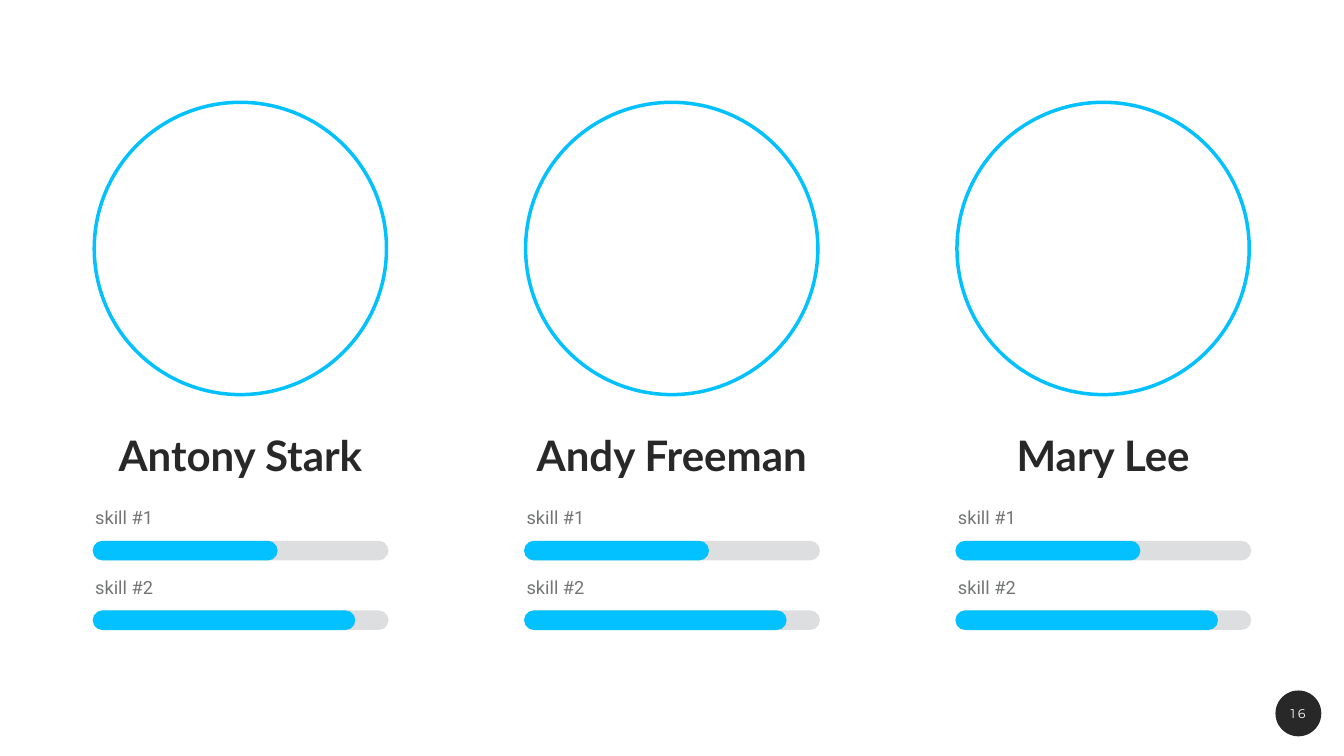
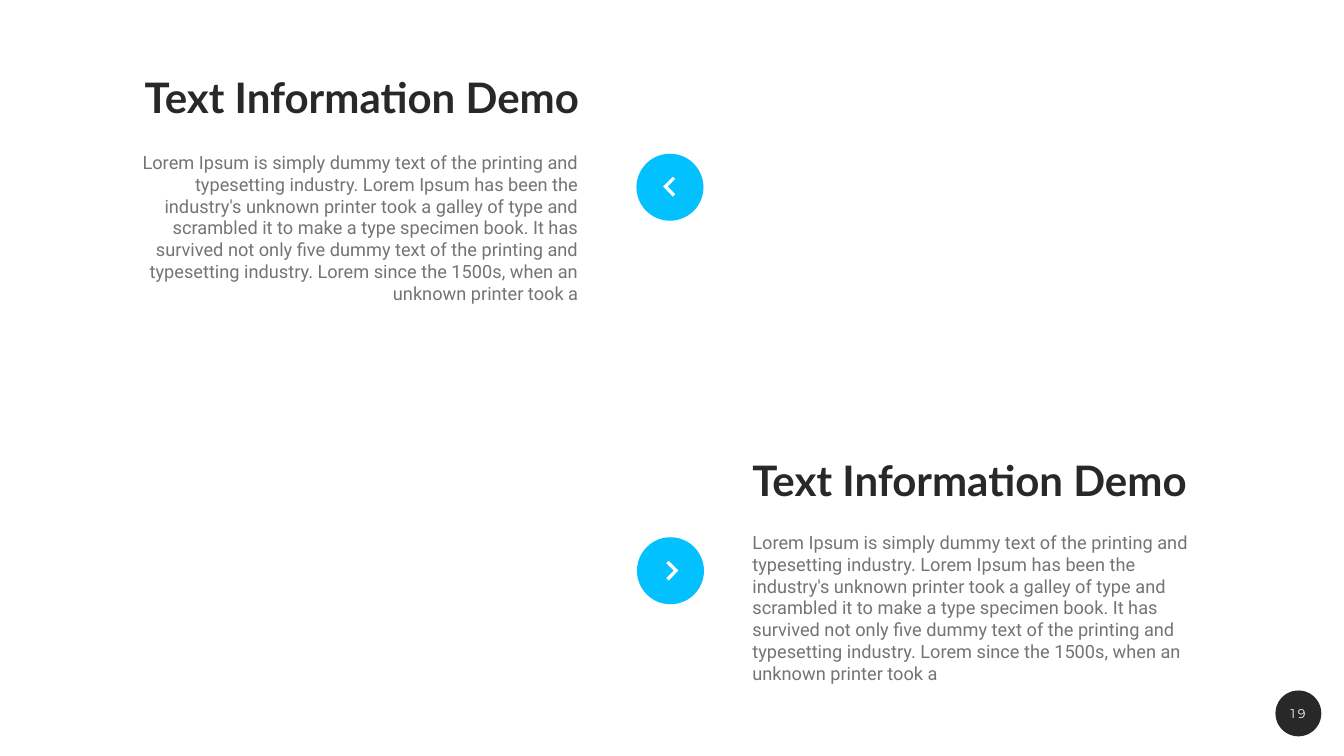
from pptx import Presentation
from pptx.dml.color import RGBColor
from pptx.enum import shapes, text
from pptx.util import Inches, Pt

COLORS = {"accent": "03C0FE", "dark": "282828", "grey": "727574",
          "track": "DDDEE0", "white": "FFFFFF"}
STYLES = {"heading": ("Lato", 60, True, "dark", 0.9),
          "body": ("Roboto", 26, False, "grey", 1.0),
          "number": ("Montserrat", 18, False, "white", 1.0)}
LEFT, CENTER, RIGHT = text.PP_ALIGN.LEFT, text.PP_ALIGN.CENTER, text.PP_ALIGN.RIGHT
TITLE_ONLY, BLANK = 5, 6

MEMBERS = ["Antony Stark", "Andy Freeman", "Mary Lee"]
SKILLS = [("skill #1", 3.67), ("skill #2", 5.21)]
HEADING = "Text Information Demo"
LOREM = ("Lorem Ipsum is simply dummy text of the printing and typesetting industry. "
         "Lorem Ipsum has been the industry's unknown printer took a galley of type and "
         "scrambled it to make a type specimen book. It has survived not only five dummy "
         "text of the printing and typesetting industry. Lorem since the 1500s, when an "
         "unknown printer took a")
CHEVRON_WIDTH = 0.24
CHEVRON = [(0.05, 0), (0, 0.04), (0.15, 0.19), (0, 0.34), (0.05, 0.39), (0.24, 0.19)]


def rgb(name):
    """Return the palette colour of that name."""
    return RGBColor.from_string(COLORS[name])


def inches(*lengths):
    """Convert several lengths to Inches."""
    return [Inches(length) for length in lengths]


def paint(shape, fill=None, line=None, weight=5):
    """Give a shape a flat fill or an outline, without shadow."""
    shape.shadow.inherit = False
    if fill:
        shape.fill.solid()
        shape.fill.fore_color.rgb = rgb(fill)
    else:
        shape.fill.background()
    if line:
        shape.line.color.rgb = rgb(line)
        shape.line.width = Pt(weight)
    else:
        shape.line.fill.background()


def add_circle(parent, left, top, size, **look):
    """Draw a circle."""
    circle = parent.add_shape(shapes.MSO_SHAPE.OVAL, *inches(left, top, size, size))
    paint(circle, **look)


def add_pill(parent, left, top, width, height, fill):
    """Draw a bar with fully rounded ends."""
    pill = parent.add_shape(shapes.MSO_SHAPE.ROUNDED_RECTANGLE,
                            *inches(left, top, width, height))
    pill.adjustments[0] = 0.5
    paint(pill, fill)


def write(holder, words, style, align=LEFT, anchor=text.MSO_ANCHOR.TOP):
    """Fill a text holder with one styled paragraph and return it."""
    frame = holder.text_frame
    frame.word_wrap = True
    frame.auto_size = text.MSO_AUTO_SIZE.NONE
    frame.vertical_anchor = anchor
    frame.margin_left = frame.margin_right = Inches(0.04)
    frame.margin_top = frame.margin_bottom = Inches(0.04)
    paragraph = frame.paragraphs[0]
    paragraph.text = words
    paragraph.alignment = align
    font, size, bold, color, spacing = STYLES[style]
    paragraph.line_spacing = spacing
    paragraph.font.name = font
    paragraph.font.size = Pt(size)
    paragraph.font.bold = bold
    paragraph.font.color.rgb = rgb(color)
    return paragraph


def add_text(parent, box, words, style, **layout):
    """Add a text box and write in it."""
    return write(parent.add_textbox(*inches(*box)), words, style, **layout)


def add_page_badge(slide, number):
    """Draw the page number on its dark disc."""
    add_circle(slide.shapes, 25.31, 13.7, 0.91, fill="dark")
    digits = add_text(slide.shapes, (25.43, 13.96, 0.66, 0.39), str(number),
                      "number", align=CENTER)
    digits.runs[0].font._element.set("spc", "360")


def add_skill(slide, left, top, label, level):
    """Draw a labelled skill bar filled up to its level."""
    skill = slide.shapes.add_group_shape().shapes
    add_pill(skill, left, top + 0.72, 5.87, 0.39, "track")
    add_text(skill, (left + 0.01, top, 1.57, 0.57), label, "body")
    add_pill(skill, left, top + 0.72, level, 0.39, "accent")


def add_member(slide, left, top, name):
    """Draw one team member: portrait ring, name and skills."""
    add_text(slide.shapes, (left, top + 6.5, 6.4, 1.11), name, "heading",
             align=CENTER, anchor=text.MSO_ANCHOR.MIDDLE)
    add_circle(slide.shapes, left + 0.3, top, 5.8, line="accent")
    for row, (label, level) in enumerate(SKILLS):
        add_skill(slide, left + 0.27, top + 7.98 + 1.38 * row, label, level)


def add_arrow(slide, left, top, chevron_left, chevron_top, mirrored=False):
    """Draw a disc with a chevron, pointing left if mirrored."""
    arrow = slide.shapes.add_group_shape().shapes
    add_circle(arrow, left, top, 1.33, fill="accent")
    points = [inches(left + chevron_left + (CHEVRON_WIDTH - x if mirrored else x),
                     top + chevron_top + y) for x, y in CHEVRON]
    outline = arrow.build_freeform(*points[0])
    outline.add_line_segments(points[1:], close=True)
    paint(outline.convert_to_shape(), "white")


def team_slide(deck, number):
    """Build the slide with three team members."""
    slide = deck.slides.add_slide(deck.slide_layouts[BLANK])
    for column, name in enumerate(MEMBERS):
        add_member(slide, 1.57 + 8.56 * column, 2.03, name)
    add_page_badge(slide, number)


def text_slide(deck, number):
    """Build the slide with two facing text blocks."""
    slide = deck.slides.add_slide(deck.slide_layouts[TITLE_ONLY])
    title = slide.shapes.title
    title.left, title.top, title.width, title.height = inches(2.54, 1.49, 8.99, 1.74)
    write(title, HEADING, "heading", align=RIGHT)
    add_text(slide.shapes, (2.34, 2.96, 9.18, 4.13), LOREM, "body", align=RIGHT)
    add_text(slide.shapes, (14.89, 9.1, 11.17, 1.33), HEADING, "heading")
    add_text(slide.shapes, (14.89, 10.5, 9.18, 3.85), LOREM, "body")
    add_arrow(slide, 12.63, 3.05, 0.53, 0.46, mirrored=True)
    add_arrow(slide, 12.64, 10.66, 0.58, 0.47)
    add_page_badge(slide, number)


def main():
    """Build and save the deck."""
    deck = Presentation()
    deck.slide_width, deck.slide_height = inches(26.67, 15)
    team_slide(deck, 16)
    text_slide(deck, 19)
    deck.save("out.pptx")


if __name__ == "__main__":
    main()
